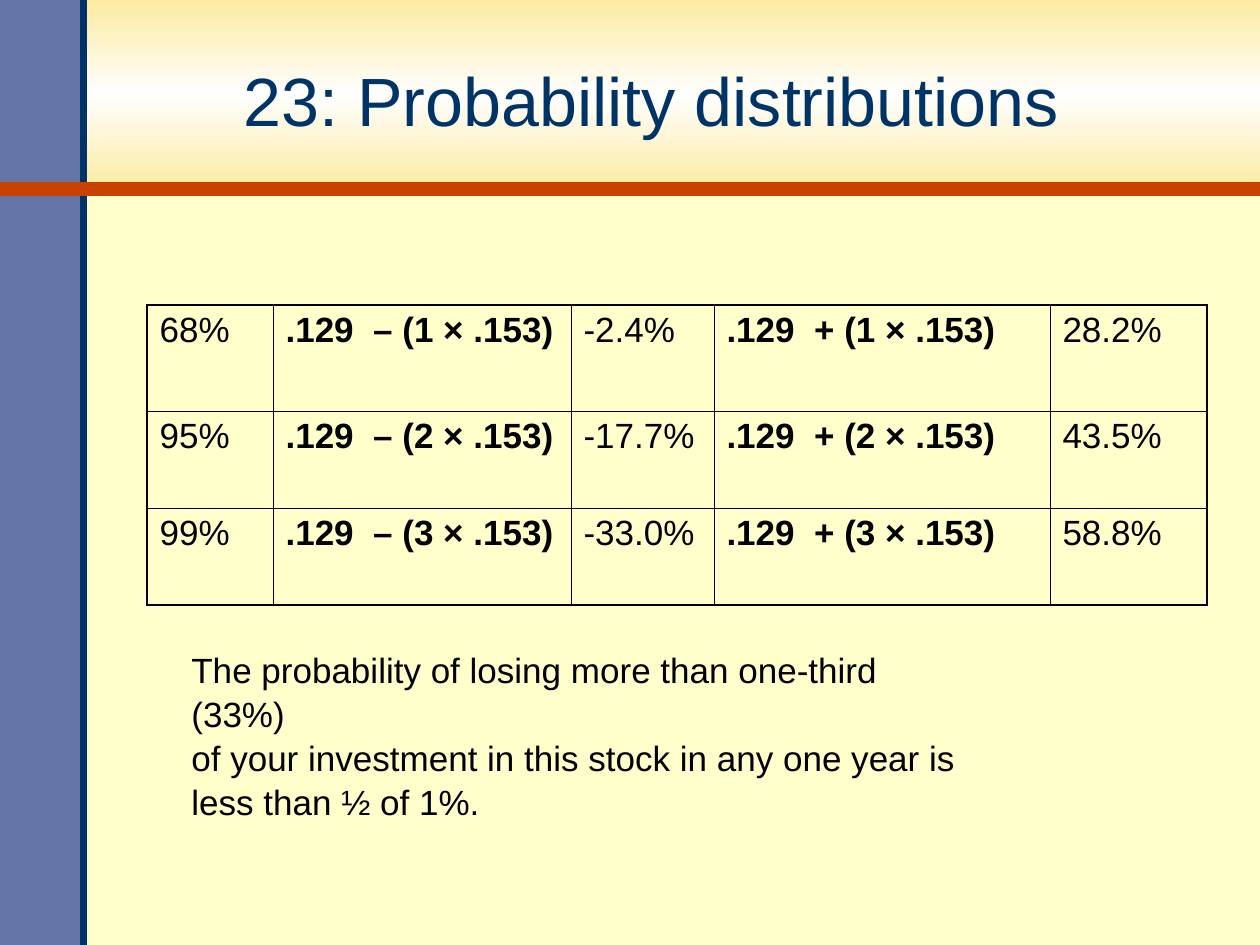
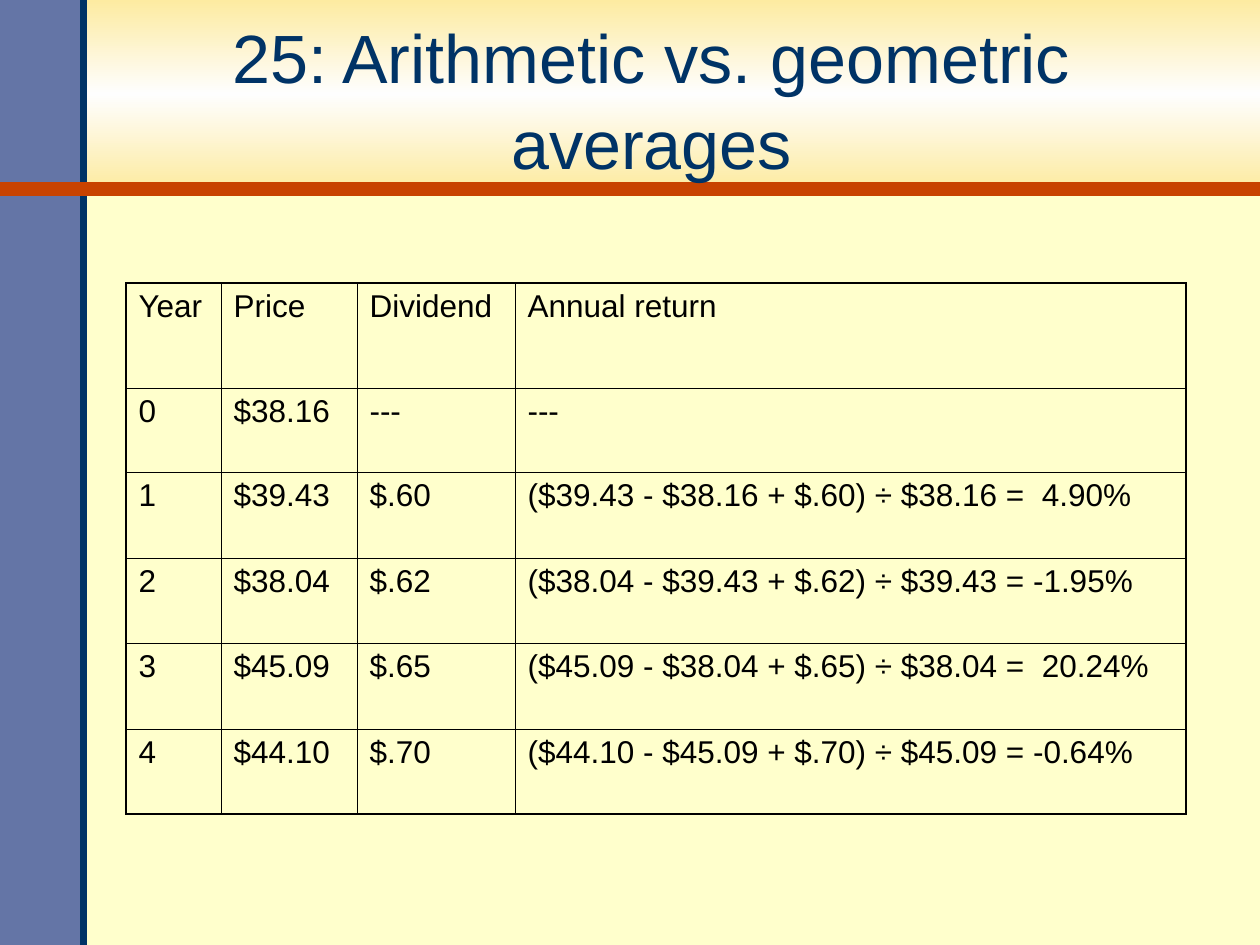
"""Build two finance slides with a shared yellow and blue frame and one table each."""
from copy import deepcopy

from lxml.etree import SubElement
from pptx import Presentation
from pptx.dml.color import RGBColor
from pptx.enum.shapes import MSO_CONNECTOR, MSO_SHAPE
from pptx.enum.text import MSO_ANCHOR, MSO_AUTO_SIZE, PP_ALIGN
from pptx.oxml import parse_xml
from pptx.oxml.ns import nsdecls, qn
from pptx.util import Emu, Pt

CREAM = RGBColor(0xFF, 0xFF, 0xCC)
GOLD = RGBColor(0xFD, 0xEB, 0xA1)
NEAR_WHITE = RGBColor(0xFE, 0xFE, 0xFE)
SLATE = RGBColor(0x64, 0x75, 0xA6)
NAVY = RGBColor(0x00, 0x33, 0x66)
RUST = RGBColor(0xC8, 0x43, 0x00)
BLACK = RGBColor(0x00, 0x00, 0x00)
FONT = "Arial"
OUTER, INNER = Pt(1.08), Pt(0.45)


def px(length):
    return Emu(round(length * 914400 / 126))


def write(frame, text, size=20, color=BLACK, bold=False, align=PP_ALIGN.LEFT, spacing=1.0):
    frame.text = text
    for paragraph in frame.paragraphs:
        paragraph.alignment = align
        paragraph.line_spacing = spacing
        for run in paragraph.runs:
            run.font.name = FONT
            run.font.size = Pt(size)
            run.font.bold = bold
            run.font.color.rgb = color


PAGES = [
    {
        "title": "23: Probability distributions",
        "left": 147, "top": 305, "size": 20, "bold_columns": (1, 3),
        "columns": [126, 298, 143, 336, 157],
        "heights": [106, 97, 97],
        "rows": [
            ["68%", ".129  – (1 × .153)", "-2.4%", ".129  + (1 × .153)", "28.2%"],
            ["95%", ".129  – (2 × .153)", "-17.7%", ".129  + (2 × .153)", "43.5%"],
            ["99%", ".129  – (3 × .153)", "-33.0%", ".129  + (3 × .153)", "58.8%"],
        ],
        "note": "The probability of losing more than one-third (33%)\n"
                "of your investment in this stock in any one year is less than ½ of 1%.",
    },
    {
        "title": "25: Arithmetic vs. geometric averages",
        "left": 126, "top": 283, "size": 18, "bold_columns": (),
        "columns": [95, 136, 158, 671],
        "heights": [105, 84, 86, 85, 86, 85],
        "rows": [
            ["Year", "Price", "Dividend", "Annual return"],
            ["0", "$38.16", "---", "---"],
            ["1", "$39.43", "$.60", "($39.43 - $38.16 + $.60) ÷ $38.16 =  4.90%"],
            ["2", "$38.04", "$.62", "($38.04 - $39.43 + $.62) ÷ $39.43 = -1.95%"],
            ["3", "$45.09", "$.65", "($45.09 - $38.04 + $.65) ÷ $38.04 =  20.24%"],
            ["4", "$44.10", "$.70", "($44.10 - $45.09 + $.70) ÷ $45.09 = -0.64%"],
        ],
        "note": None,
    },
]

presentation = Presentation()
presentation.slide_width, presentation.slide_height = px(1260), px(945)
master = presentation.slide_master
master.background.fill.solid()
master.background.fill.fore_color.rgb = CREAM
slides = [presentation.slides.add_slide(presentation.slide_layouts[5]) for page in PAGES]

canvas = slides[0].shapes
header = canvas.add_shape(MSO_SHAPE.RECTANGLE, 0, 0, px(1260), px(189))
header.fill.gradient()
header.fill.gradient_angle = 90
for stop in header.fill.gradient_stops:
    stop.color.rgb = GOLD
first_stop = header.element.xpath(".//a:gs")[0]
first_stop.addnext(deepcopy(first_stop))
middle_stop = header.fill.gradient_stops[1]
middle_stop.position = 0.5
middle_stop.color.rgb = NEAR_WHITE

sidebar = canvas.add_shape(MSO_SHAPE.RECTANGLE, 0, 0, px(84), px(945))
sidebar.fill.solid()
sidebar.fill.fore_color.rgb = SLATE
for band in (header, sidebar):
    band.line.fill.background()
    band.shadow.inherit = False

frame_shapes = [header, sidebar]
for start_x, start_y, end_x, end_y, color, width in (
    (84, 945, 84, 0, NAVY, 4),
    (0, 189, 1260, 189, RUST, 8),
):
    rule = canvas.add_connector(MSO_CONNECTOR.STRAIGHT, px(start_x), px(start_y), px(end_x), px(end_y))
    rule.line.color.rgb = color
    rule.line.width = Pt(width)
    SubElement(rule.element.spPr, qn("a:effectLst"))
    frame_shapes.append(rule)

first_placeholder = master.shapes[0].element
for number, shape in enumerate(frame_shapes, start=101):
    shape.element.xpath(".//p:cNvPr")[0].set("id", str(number))
    first_placeholder.addprevious(shape.element)

for slide, page in zip(slides, PAGES):
    title = slide.shapes.title
    title.left, title.top, title.width, title.height = px(82), px(22), px(1139), px(151)
    title.text_frame.auto_size = MSO_AUTO_SIZE.NONE
    title.text_frame.vertical_anchor = MSO_ANCHOR.MIDDLE
    write(title.text_frame, page["title"], size=39, color=NAVY, align=PP_ALIGN.CENTER, spacing=1.05)

    rows, columns, heights = page["rows"], page["columns"], page["heights"]
    table = slide.shapes.add_table(
        len(rows), len(columns), px(page["left"]), px(page["top"]), px(sum(columns)), px(sum(heights))
    ).table
    table.first_row = False
    table.horz_banding = False
    for column, width in zip(table.columns, columns):
        column.width = px(width)
    for row, height in zip(table.rows, heights):
        row.height = px(height)

    last_row, last_column = len(rows) - 1, len(columns) - 1
    for row_index, texts in enumerate(rows):
        for column_index, text in enumerate(texts):
            cell = table.cell(row_index, column_index)
            write(cell.text_frame, text, size=page["size"], bold=column_index in page["bold_columns"])
            properties = cell._tc.get_or_add_tcPr()
            for side, is_outer in (
                ("L", column_index == 0),
                ("R", column_index == last_column),
                ("T", row_index == 0),
                ("B", row_index == last_row),
            ):
                properties.append(parse_xml(
                    f'<a:ln{side} {nsdecls("a")} w="{OUTER if is_outer else INNER}">'
                    f'<a:solidFill><a:srgbClr val="{BLACK}"/></a:solidFill></a:ln{side}>'
                ))
            cell.fill.background()

    if page["note"]:
        note = slide.shapes.add_textbox(px(179), px(640), px(813), px(181))
        note.text_frame.word_wrap = True
        write(note.text_frame, page["note"], spacing=1.05)

presentation.save("out.pptx")
